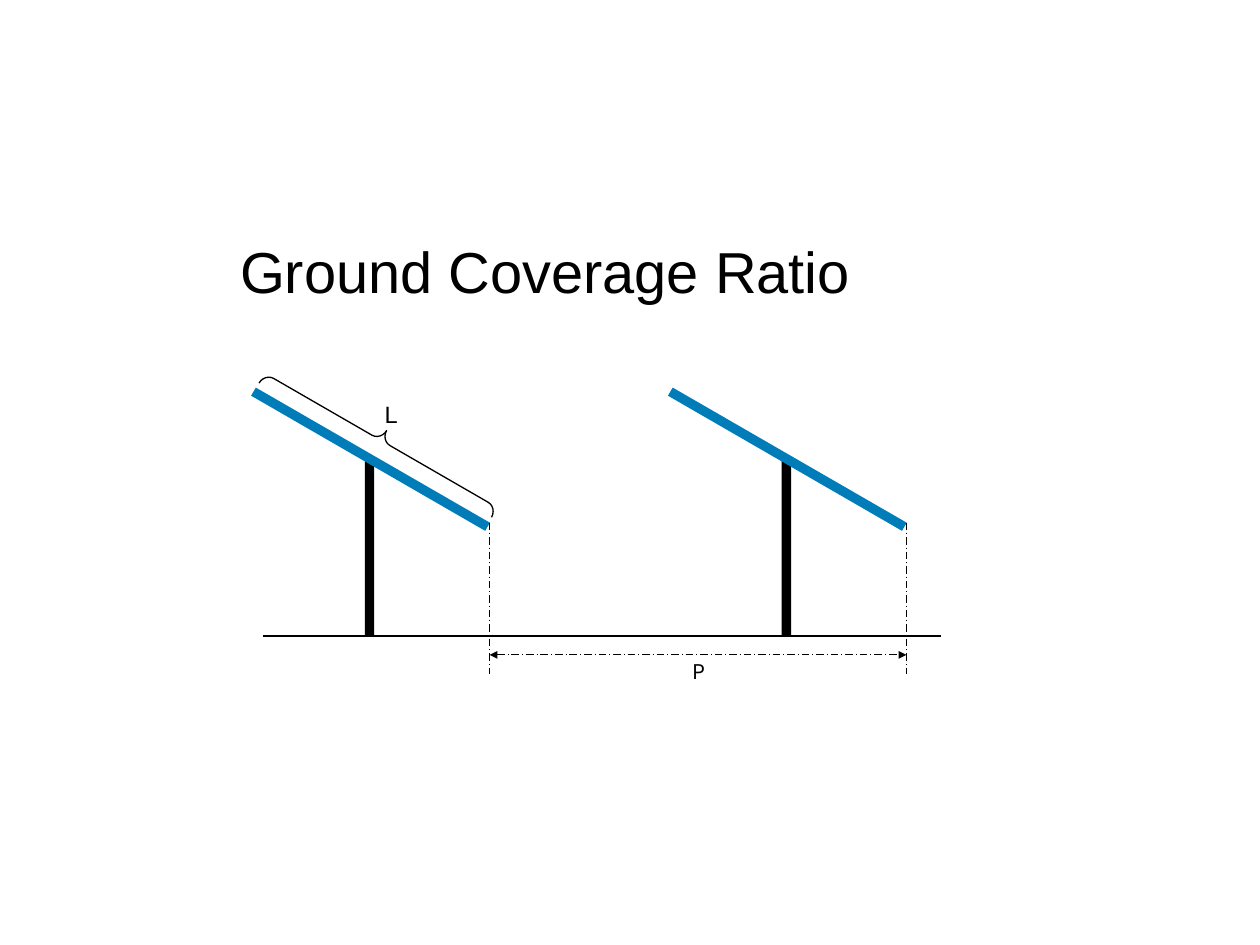
"""Build a slide that explains the ground coverage ratio of tilted solar rows."""
from dataclasses import dataclass

import lxml.etree
import pptx
import pptx.dml.color
import pptx.enum.dml
import pptx.enum.shapes
import pptx.enum.text
import pptx.oxml.ns
import pptx.util

PX = 9144
RGB = pptx.dml.color.RGBColor
SHAPE = pptx.enum.shapes.MSO_SHAPE
LONG_DASH_DOT = pptx.enum.dml.MSO_LINE.LONG_DASH_DOT


@dataclass(frozen=True)
class Theme:
    ink: RGB = RGB(0x00, 0x00, 0x00)
    panel: RGB = RGB(0x00, 0x7D, 0xB9)
    font: str = "Arial"
    label_font: str = "Karla"
    title_size: int = 44
    label_size: int = 18
    ground_width: float = 1.25
    brace_width: float = 1
    dimension_width: float = 0.75


@dataclass(frozen=True)
class Box:
    left: int
    top: int
    width: int
    height: int

    def emu(self) -> tuple[int, ...]:
        return tuple(v * PX for v in (self.left, self.top, self.width, self.height))

    def shifted(self, dx: int) -> "Box":
        return Box(self.left + dx, self.top, self.width, self.height)


@dataclass(frozen=True)
class Line:
    start: tuple[int, int]
    end: tuple[int, int]
    width: float
    dashed: bool = False
    arrows: bool = False


THEME = Theme()
ROW_PITCH = 441
ROW_OFFSETS = (0, ROW_PITCH)
TILT = 30
POST = Box(386, 483, 10, 190)
PANEL = Box(249, 481, 286, 10)
BRACE = Box(391, 324, 24, 284)
EDGE_X, EDGE_TOP, EDGE_BOTTOM = 518, 553, 713
GROUND_Y, PITCH_Y = 673, 693


def write_text(sp, text: str, *, size: int, font: str, color: RGB = THEME.ink) -> None:
    tf = sp.text_frame
    tf.word_wrap = False
    tf.auto_size = pptx.enum.text.MSO_AUTO_SIZE.SHAPE_TO_FIT_TEXT
    tf.vertical_anchor = pptx.enum.text.MSO_ANCHOR.TOP
    p = tf.paragraphs[0]
    p.alignment = pptx.enum.text.PP_ALIGN.LEFT
    r = p.add_run()
    r.text = text
    r.font.size = pptx.util.Pt(size)
    r.font.name = font
    r.font.color.rgb = color


def add_title(slide, text: str, box: Box) -> None:
    sp = slide.shapes.title
    sp.left, sp.top, sp.width, sp.height = box.emu()
    write_text(sp, text, size=THEME.title_size, font=THEME.font)


def add_label(slide, text: str, box: Box, font: str) -> None:
    sp = slide.shapes.add_textbox(*box.emu())
    write_text(sp, text, size=THEME.label_size, font=font)


def add_bar(slide, box: Box, color: RGB, rotation: int = 0) -> None:
    sp = slide.shapes.add_shape(SHAPE.RECTANGLE, *box.emu())
    sp.shadow.inherit = False
    sp.rotation = rotation
    sp.fill.solid()
    sp.fill.fore_color.rgb = color
    sp.line.fill.background()


def add_brace(slide, box: Box, rotation: int) -> None:
    sp = slide.shapes.add_shape(SHAPE.LEFT_BRACE, *box.emu())
    sp.shadow.inherit = False
    sp.rotation = rotation
    sp.adjustments[0] = 0.46
    sp.adjustments[1] = 0.5
    sp.fill.background()
    sp.line.color.rgb = THEME.ink
    sp.line.width = pptx.util.Pt(THEME.brace_width)


def add_line(slide, line: Line) -> None:
    ends = (v * PX for v in line.start + line.end)
    sp = slide.shapes.add_connector(pptx.enum.shapes.MSO_CONNECTOR.STRAIGHT, *ends)
    sp.line.color.rgb = THEME.ink
    sp.line.width = pptx.util.Pt(line.width)
    if line.dashed:
        sp.line.dash_style = LONG_DASH_DOT
    qn = pptx.oxml.ns.qn
    props = sp._element.spPr
    if line.arrows:
        for tag in ("a:headEnd", "a:tailEnd"):
            lxml.etree.SubElement(props.find(qn("a:ln")), qn(tag), type="triangle")
    lxml.etree.SubElement(props, qn("a:effectLst"))


def main() -> None:
    prs = pptx.Presentation()
    prs.slide_width, prs.slide_height = 1333 * PX, 1000 * PX
    slide = prs.slides.add_slide(prs.slide_layouts[5])

    add_title(slide, "Ground Coverage Ratio", Box(244, 245, 672, 84))
    for dx in ROW_OFFSETS:
        add_bar(slide, POST.shifted(dx), THEME.ink)
        add_bar(slide, PANEL.shifted(dx), THEME.panel, TILT)

    add_line(slide, Line((278, GROUND_Y), (996, GROUND_Y), THEME.ground_width))
    for dx in ROW_OFFSETS:
        x = EDGE_X + dx
        add_line(slide, Line((x, EDGE_TOP), (x, EDGE_BOTTOM), THEME.dimension_width, dashed=True))
    add_line(slide, Line((EDGE_X, PITCH_Y), (EDGE_X + ROW_PITCH, PITCH_Y),
                         THEME.dimension_width, dashed=True, arrows=True))

    add_label(slide, "P", Box(722, 689, 35, 40), THEME.label_font)
    add_label(slide, "L", Box(397, 418, 34, 40), THEME.font)
    add_brace(slide, BRACE, 90 + TILT)
    prs.save("out.pptx")


if __name__ == "__main__":
    main()
